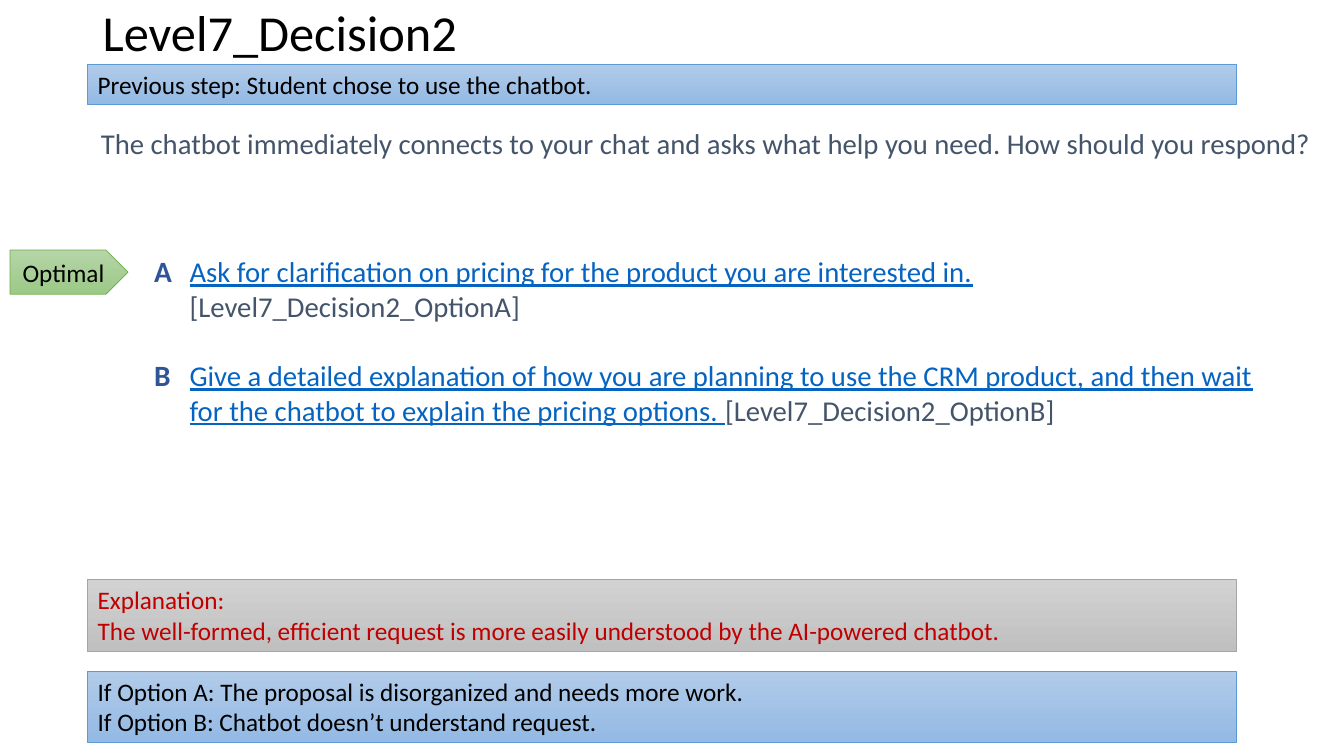
from dataclasses import dataclass

from pptx import Presentation
from pptx.dml.color import RGBColor
from pptx.enum.shapes import MSO_SHAPE
from pptx.enum.text import MSO_ANCHOR, PP_ALIGN
from pptx.util import Inches, Pt


@dataclass(frozen=True)
class Theme:
    """Colours as hex, sizes in points; a tone is top, bottom, line."""
    face: str = "Calibri"
    black: str = "000000"
    slate: str = "44546A"
    link: str = "0563C1"
    navy: str = "2F5597"
    red: str = "C00000"
    blue: tuple = ("B1CBE9", "93B9E4", "5B9BD5")
    gray: tuple = ("D2D2D2", "C0C0C0", "A5A5A5")
    green: tuple = ("B5D5A7", "9CC987", "70AD47")
    title: float = 36
    body: float = 20.5
    letter: float = 21
    note: float = 18
    gap: float = 25


THEME = Theme()


def style(run, size, color, bold=False, under=False):
    """Format one run."""
    font = run.font
    font.name, font.size = THEME.face, Pt(size)
    font.color.rgb = RGBColor.from_string(color)
    font.bold, font.underline = bold, under


def label(slide, box, text, size, color, bold=False, pad=(0.13, 0.07)):
    """Add a wrapped text box and return its frame."""
    frame = slide.shapes.add_textbox(*map(Inches, box)).text_frame
    frame.word_wrap = True
    frame.margin_left = frame.margin_right = Inches(pad[0])
    frame.margin_top = frame.margin_bottom = Inches(pad[1])
    frame.text = text
    for run in frame.paragraphs[0].runs:
        style(run, size, color, bold)
    return frame


def panel(slide, box, text, tone, color=THEME.black, kind=MSO_SHAPE.RECTANGLE):
    """Add a shaded shape with one paragraph per line of text."""
    shape = slide.shapes.add_shape(kind, *map(Inches, box))
    shape.shadow.inherit = False
    shape.fill.gradient()
    shape.fill.gradient_angle = 270
    for stop, shade, place in zip(shape.fill.gradient_stops, tone, (0, 1)):
        stop.color.rgb = RGBColor.from_string(shade)
        stop.position = place
    shape.line.color.rgb = RGBColor.from_string(tone[2])
    shape.line.width = Pt(0.5)
    frame = shape.text_frame
    frame.text = text
    frame.vertical_anchor = MSO_ANCHOR.TOP
    for para in frame.paragraphs:
        para.alignment = PP_ALIGN.LEFT
        for run in para.runs:
            style(run, THEME.note, color)
    return frame


def header(slide, box, title, step, ask):
    """Place the title, the previous step and the question."""
    left, top, width = box
    frame = label(slide, (left + 0.05, top, width + 0.11, 0.7), title,
                  THEME.title, THEME.black, pad=(0.1, 0.05))
    frame.vertical_anchor = MSO_ANCHOR.MIDDLE
    frame.paragraphs[0].line_spacing = 0.9
    panel(slide, (left, top + 0.64, width, 0.4), step, THEME.blue)
    label(slide, (left, top + 1.18, 12.46, 0.58), ask, THEME.body, THEME.slate)


def choices(slide, box, items):
    """Place the lettered options and the tag on the best one."""
    left, top, width, height = box
    frame = label(slide, (left + 1.65, top, width - 1.65, height), "",
                  THEME.body, THEME.slate)
    for index, (mark, text, target) in enumerate(items):
        para = frame.add_paragraph() if index else frame.paragraphs[0]
        if index:
            para.space_before = Pt(THEME.gap)
        for part, color, under in ((text, THEME.link, True),
                                   (target, THEME.slate, False)):
            run = para.add_run()
            run.text = part
            style(run, THEME.body, color, under=under)
        label(slide, (left + 1.3, top - 0.01 + index * 1.03, 0.7, 0.5), mark,
              THEME.letter, THEME.navy, bold=True)
    tag = panel(slide, (left, top + 0.03, 1.17, 0.44), "Optimal", THEME.green,
                kind=MSO_SHAPE.PENTAGON)
    tag.vertical_anchor = MSO_ANCHOR.MIDDLE
    tag.paragraphs[0].alignment = PP_ALIGN.CENTER


def footer(slide, box, reason, result):
    """Place the explanation above the outcomes."""
    left, top, width = box
    panel(slide, (left, top, width, 0.71), reason, THEME.gray, THEME.red)
    panel(slide, (left, top + 0.91, width, 0.71), result, THEME.blue)


def main():
    """Build and save the slide."""
    deck = Presentation()
    deck.slide_width, deck.slide_height = Inches(13.33), Inches(7.5)
    slide = deck.slides.add_slide(deck.slide_layouts[6])
    header(slide, (0.87, 0, 11.39), "Level7_Decision2",
           "Previous step: Student chose to use the chatbot.",
           "The chatbot immediately connects to your chat and asks what help "
           "you need. How should you respond?")
    choices(slide, (0.1, 2.45, 12.67, 2.1), [
        ("A", "Ask for clarification on pricing for the product you are "
         "interested in. ", "[Level7_Decision2_OptionA]"),
        ("B", "Give a detailed explanation of how you are planning to use the "
         "CRM product, and then wait for the chatbot to explain the pricing "
         "options. ", "[Level7_Decision2_OptionB]")])
    footer(slide, (0.87, 5.75, 11.39),
           "Explanation:\nThe well-formed, efficient request is more easily "
           "understood by the AI-powered chatbot.",
           "If Option A: The proposal is disorganized and needs more work.\n"
           "If Option B: Chatbot doesn’t understand request.")
    deck.save("out.pptx")


if __name__ == "__main__":
    main()
